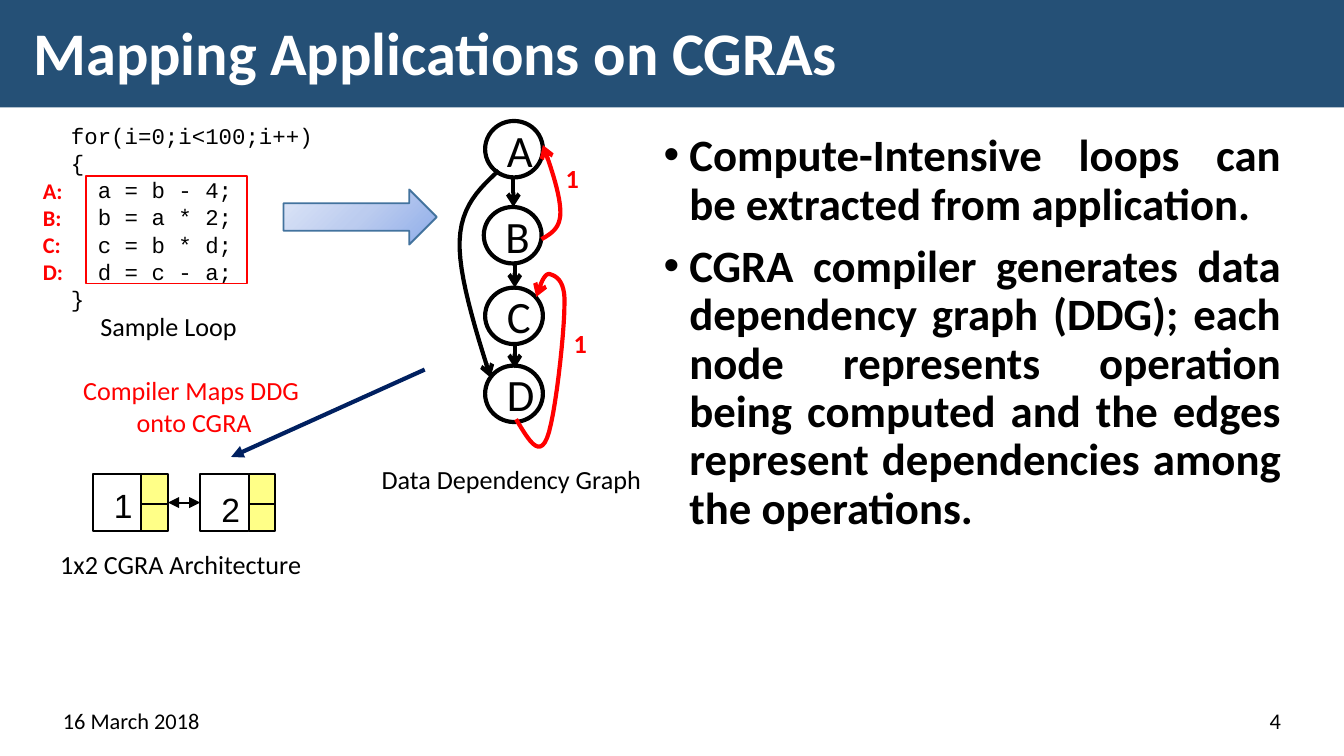
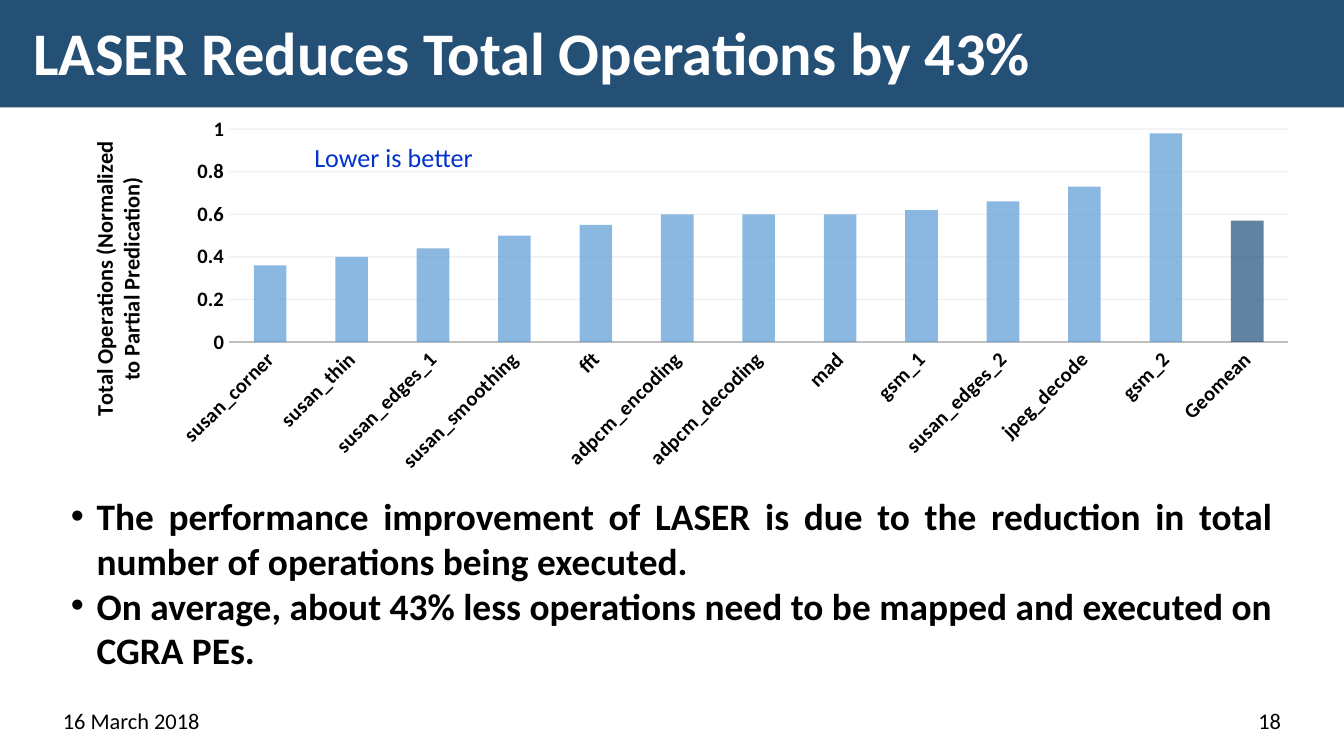
"""Build two slides on mapping loops to CGRAs and the operations saved by LASER."""
from lxml import etree
from pptx import Presentation
from pptx.chart.data import CategoryChartData
from pptx.dml.color import RGBColor
from pptx.enum.chart import XL_CHART_TYPE, XL_TICK_MARK
from pptx.enum.shapes import MSO_CONNECTOR, MSO_SHAPE
from pptx.enum.text import MSO_ANCHOR, PP_ALIGN
from pptx.oxml import parse_xml
from pptx.oxml.ns import nsdecls, qn
from pptx.util import Pt

PX = 9144
LEFT, CENTER, RIGHT, JUSTIFY = PP_ALIGN.LEFT, PP_ALIGN.CENTER, PP_ALIGN.RIGHT, PP_ALIGN.JUSTIFY
TOP, MIDDLE, BOTTOM = MSO_ANCHOR.TOP, MSO_ANCHOR.MIDDLE, MSO_ANCHOR.BOTTOM
RECTANGLE, ELLIPSE, ARROW = MSO_SHAPE.RECTANGLE, MSO_SHAPE.OVAL, MSO_SHAPE.RIGHT_ARROW
STRAIGHT = MSO_CONNECTOR.STRAIGHT
STACKED = XL_CHART_TYPE.COLUMN_STACKED
NO_TICK = XL_TICK_MARK.NONE


class Theme:
    """Fonts, colours and type sizes."""
    font, code_font, cell_font = "Calibri", "Courier New", "Arial"
    band, white, black, red = "255076", "FFFFFF", "000000", "FF0000"
    register, navy, note = "FFFF87", "002060", "0033CC"
    arrow_line, arrow_stops = "43739E", ((0, "8FADE9"), (50, "BCCCEF"), (100, "DEE6F7"))
    bars, mean_bar, axis, grid = ("5B9BD5", "A5A5A5", "FFC000"), "1F4E79", "BFBFBF", "D9D9D9"
    bar_alpha, grid_alpha = "70000", "35000"
    title, body, node, findings, cell = 32.4, 24, 24, 20, 18
    label, small, ticks, chart = 14, 12, 11, 10
    thick, thin, hair = 2.25, 1, 0.75


def stroke(shape, color, width, head=None, tail=None):
    """Give a shape a plain outline with optional arrowheads and no shadow."""
    if color:
        shape.line.color.rgb = RGBColor.from_string(color)
        shape.line.width = Pt(width)
    else:
        shape.line.fill.background()
    outline = shape.line._get_or_add_ln()
    for tag, kind in (("a:headEnd", head), ("a:tailEnd", tail)):
        if kind:
            etree.SubElement(outline, qn(tag)).set("type", kind)
    etree.SubElement(shape._element.spPr, qn("a:effectLst"))


def block(page, place, text="", preset=None, fill=None, line=None, width=Theme.thin,
          size=Theme.label, color=Theme.black, font=Theme.font, bold=False, align=LEFT,
          anchor=TOP, wrap=True, spacing=None, before=0, bullet=False):
    """Place text in a box or in a preset shape."""
    place = [value * PX for value in place]
    if preset is None:
        box = page.shapes.add_textbox(*place)
    else:
        box = page.shapes.add_shape(preset, *place)
        if fill:
            box.fill.solid()
            box.fill.fore_color.rgb = RGBColor.from_string(fill)
        else:
            box.fill.background()
        stroke(box, line, width)
    if not text:
        return box
    frame = box.text_frame
    frame.word_wrap = wrap
    frame.vertical_anchor = anchor
    for index, words in enumerate(text.split("\n")):
        para = frame.add_paragraph() if index else frame.paragraphs[0]
        if bullet:
            properties = para._p.get_or_add_pPr()
            properties.set("marL", str(19 * PX))
            properties.set("indent", str(-19 * PX))
            etree.SubElement(properties, qn("a:buFont")).set("typeface", "Arial")
            etree.SubElement(properties, qn("a:buChar")).set("char", "•")
        para.alignment = align
        if spacing:
            para.line_spacing = spacing
        if index and before:
            para.space_before = Pt(before)
        span = para.add_run()
        span.text = words
        span.font.name = font
        span.font.size = Pt(size)
        span.font.bold = bold
        span.font.color.rgb = RGBColor.from_string(color)
    return box


deck = Presentation()
deck.slide_width = 1000 * PX
deck.slide_height = deck.slide_width * 9 // 16
pages = []
for title, number in (("Mapping Applications on CGRAs", "4"),
                      ("LASER Reduces Total Operations by 43%", "18")):
    page = deck.slides.add_slide(deck.slide_layouts[6])
    block(page, (0, 0, 1000, 80), preset=RECTANGLE, fill=Theme.band)
    block(page, (15, 10, 970, 63), title, size=Theme.title, color=Theme.white, bold=True,
          anchor=MIDDLE, spacing=0.9)
    block(page, (37, 521, 257, 30), "16 March 2018", size=Theme.small, anchor=BOTTOM)
    block(page, (706, 521, 257, 30), number, size=Theme.small, align=RIGHT, anchor=BOTTOM)
    pages.append(page)
mapping, results = pages

block(mapping, (43, 86, 204, 153),
      "for(i=0;i<100;i++)\n{\n  a = b - 4;\n  b = a * 2;\n  c = b * d;\n  d = c - a;\n}",
      size=Theme.small, font=Theme.code_font, spacing=Pt(14.5))
block(mapping, (64, 131, 120, 80), preset=RECTANGLE, line=Theme.red)
for index, name in enumerate("ABCD"):
    block(mapping, (22, 127 + 20 * index, 35, 30), name + ":", size=Theme.small,
          color=Theme.red, bold=True, wrap=False)
block(mapping, (64, 226, 123, 34), "Sample Loop", align=CENTER, wrap=False)
block(mapping, (274, 340, 215, 34), "Data Dependency Graph", wrap=False)
block(mapping, (35, 403, 204, 34), "1x2 CGRA Architecture")
block(mapping, (-2, 274, 293, 57), "Compiler Maps DDG \nonto CGRA", color=Theme.red,
      align=CENTER)

to_graph = block(mapping, (211, 141, 114, 41), preset=ARROW, fill=Theme.white,
                 line=Theme.arrow_line)
stops = "".join(f'<a:gs pos="{share * 1000}"><a:srgbClr val="{color}"/></a:gs>'
                for share, color in Theme.arrow_stops)
gradient = parse_xml(
    f'<a:gradFill {nsdecls("a")} rotWithShape="1"><a:gsLst>{stops}</a:gsLst>'
    '<a:path path="circle"><a:fillToRect l="100000" t="100000"/></a:path></a:gradFill>')
solid = to_graph._element.spPr.find(qn("a:solidFill"))
solid.getparent().replace(solid, gradient)

for name, left, top in (("A", 361, 90), ("B", 360, 154), ("C", 361, 214), ("D", 361, 272)):
    block(mapping, (left, top, 43, 42), name, preset=ELLIPSE, fill=Theme.white,
          line=Theme.black, width=Theme.thick, size=Theme.node, align=CENTER, anchor=MIDDLE)
for left, top in ((411, 116), (417, 239)):
    block(mapping, (left, top, 30, 34), "1", color=Theme.red, bold=True, wrap=False)

for start, end, color, tail in (((382, 132), (382, 154), Theme.black, "arrow"),
                                ((383, 196), (383, 214), Theme.black, "arrow"),
                                ((383, 255), (383, 274), Theme.black, "arrow"),
                                ((316, 275), (172, 340), Theme.navy, "triangle")):
    edge = mapping.shapes.add_connector(STRAIGHT, *(value * PX for value in start + end))
    stroke(edge, color, Theme.thick, tail=tail)

b_to_a = ((403, 178), ((410, 174), (417, 170), (417, 158)), ((417, 146), (411, 127), (404, 108)))
d_to_c = ((384, 312), ((393, 327), (401, 341), (407, 326)), ((413, 312), (420, 248), (420, 227)),
          ((421, 207), (412, 205), (409, 204)), ((405, 203), (402, 212), (399, 221)))
a_to_d = ((371, 127), ((357, 140), (343, 153), (342, 179)), ((341, 204), (353, 243), (365, 281)))
STEPS = 12
for curve, color in ((b_to_a, Theme.red), (d_to_c, Theme.red), (a_to_d, Theme.black)):
    begin, *segments = curve
    outline = mapping.shapes.build_freeform(begin[0] * PX, begin[1] * PX)
    points = []
    for first, second, end in segments:
        for step in range(1, STEPS + 1):
            t = step / STEPS
            weights = ((1 - t) ** 3, 3 * t * (1 - t) ** 2, 3 * t * t * (1 - t), t ** 3)
            controls = (begin, first, second, end)
            points.append(tuple(PX * sum(w * point[axis] for w, point in zip(weights, controls))
                                for axis in (0, 1)))
        begin = end
    outline.add_line_segments(points, close=False)
    edge = outline.convert_to_shape()
    edge.fill.background()
    stroke(edge, color, Theme.thick, tail="arrow")

elements = []
for name, left, text_top in (("1", 69, 356), ("2", 149, 359)):
    elements.append(block(mapping, (left, 353, 36, 42), preset=RECTANGLE, line=Theme.black))
    for top, height in ((353, 22), (375, 20)):
        block(mapping, (left + 36, top, 20, height), preset=RECTANGLE, fill=Theme.register,
              line=Theme.black)
    block(mapping, (left + 6, text_top, 34, 40), name, size=Theme.cell, font=Theme.cell_font,
          wrap=False)
link = mapping.shapes.add_connector(STRAIGHT, 125 * PX, 374 * PX, 149 * PX, 374 * PX)
link.end_connect(elements[1], 1)
stroke(link, Theme.black, Theme.thin, head="triangle", tail="triangle")

block(mapping, (484, 94, 479, 416),
      "Compute-Intensive loops can be extracted from application.\n"
      "CGRA compiler generates data dependency graph (DDG); each node represents operation "
      "being computed and the edges represent dependencies among the operations.",
      size=Theme.body, bold=True, align=JUSTIFY, spacing=0.9, before=7.5, bullet=True)

block(results, (43, 362, 914, 146),
      "The performance improvement of LASER is due to the reduction in total number of "
      "operations being executed. \n"
      "On average, about 43% less operations need to be mapped and executed on CGRA PEs.",
      size=Theme.findings, bold=True, align=JUSTIFY, bullet=True)

operations = {
    "susan_corner": 0.36, "susan_thin": 0.4, "susan_edges_1": 0.44, "susan_smoothing": 0.5,
    "fft": 0.55, "adpcm_encoding": 0.6, "adpcm_decoding": 0.6, "mad": 0.6, "gsm_1": 0.62,
    "susan_edges_2": 0.66, "jpeg_decode": 0.73, "gsm_2": 0.98, "Geomean": 0.57}
data = CategoryChartData()
data.categories = list(operations)
for name, heights in (("Series 1", operations.values()), ("Series 2", [0]), ("Series 3", [0])):
    data.add_series(name, list(heights))
chart = results.shapes.add_chart(STACKED, 57 * PX, 80 * PX, 917 * PX, 288 * PX, data).chart
chart.has_legend = False
chart.has_title = False
chart.font.name = Theme.font
chart.font.size = Pt(Theme.chart)
chart.font.color.rgb = RGBColor.from_string(Theme.black)

plot = chart.plots[0]
plot.vary_by_categories = False
plot.gap_width, plot.overlap = 150, 100
mean_point = plot.series[0].points[len(operations) - 1]
for bar, color in zip([*plot.series, mean_point], [*Theme.bars, Theme.mean_bar]):
    bar.format.fill.solid()
    bar.format.fill.fore_color.rgb = RGBColor.from_string(color)
for series in plot.series:
    for paint in series._element.iter(qn("a:srgbClr")):
        etree.SubElement(paint, qn("a:alpha")).set("val", Theme.bar_alpha)

names, values = chart.category_axis, chart.value_axis
for axis in (names, values):
    axis.major_tick_mark = axis.minor_tick_mark = NO_TICK
    label_font = axis.tick_labels.font
    label_font.name, label_font.size, label_font.bold = Theme.font, Pt(Theme.ticks), True
    label_font.color.rgb = RGBColor.from_string(Theme.black)
names._element.find(qn("c:txPr")).find(qn("a:bodyPr")).set("rot", "-2700000")
values.minimum_scale, values.maximum_scale, values.major_unit = 0, 1, 0.2
values.format.line.fill.background()
for rule, color in ((names.format.line, Theme.axis),
                    (values.major_gridlines.format.line, Theme.grid)):
    rule.color.rgb = RGBColor.from_string(color)
    rule.width = Pt(Theme.hair)
for paint in values._element.find(qn("c:majorGridlines")).iter(qn("a:srgbClr")):
    etree.SubElement(paint, qn("a:alpha")).set("val", Theme.grid_alpha)

heading = values.axis_title.text_frame
heading.text = "Total Operations (Normalized\nto Partial Predication)"
for para in heading.paragraphs:
    for span in para.runs:
        span.font.name, span.font.size, span.font.bold = Theme.font, Pt(Theme.small), True
        span.font.color.rgb = RGBColor.from_string(Theme.black)

title_layout = {"xMode": "edge", "yMode": "edge", "x": 7, "y": 77}
plot_layout = {"layoutTarget": "inner", "xMode": "edge", "yMode": "edge",
               "x": 124, "y": 56, "w": 859, "h": 550}
for parent, position, settings in ((values.axis_title._element, 1, title_layout),
                                   (chart._chartSpace.chart.plotArea, 0, plot_layout)):
    for old in parent.findall(qn("c:layout")):
        parent.remove(old)
    layout = etree.Element(qn("c:layout"))
    manual = etree.SubElement(layout, qn("c:manualLayout"))
    for tag, value in settings.items():
        share = value if isinstance(value, str) else str(value / 1000)
        etree.SubElement(manual, qn("c:" + tag)).set("val", share)
    parent.insert(position, layout)

block(results, (224, 100, 140, 34), "Lower is better", color=Theme.note, wrap=False)
deck.save("out.pptx")
